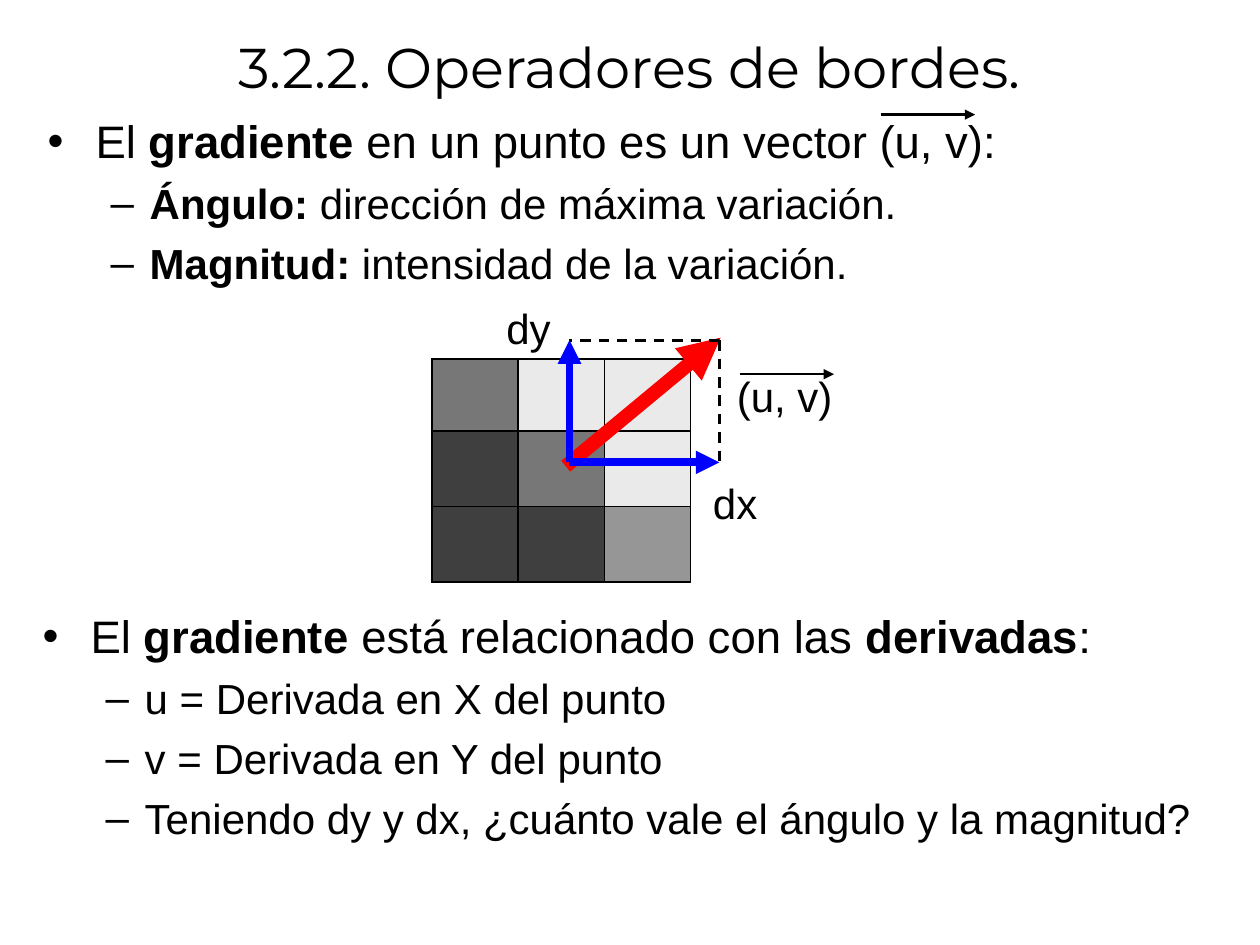
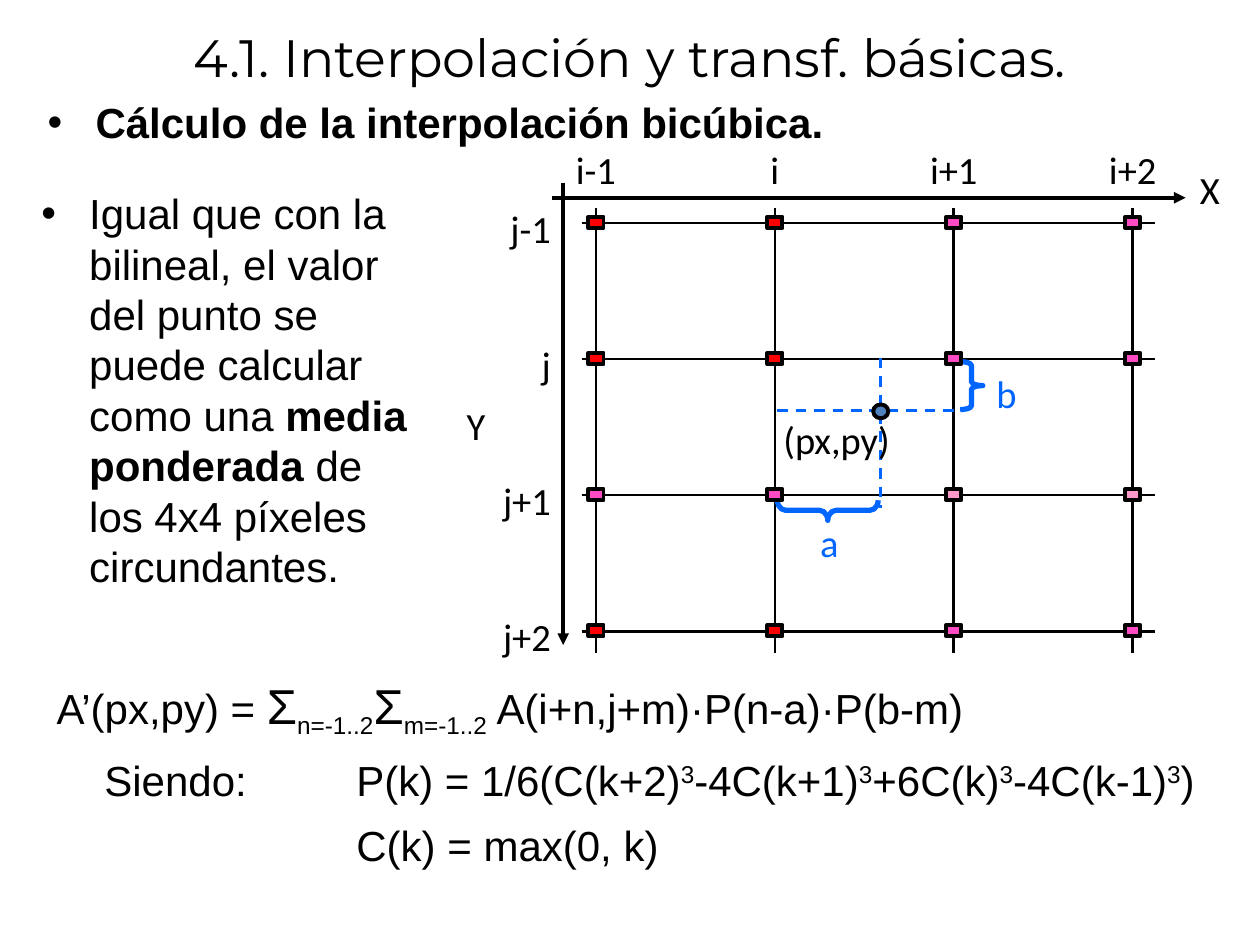
from lxml import etree
from pptx import Presentation
from pptx import util as u
from pptx.dml.color import RGBColor
from pptx.enum import dml, shapes, text
from pptx.oxml.ns import qn

BLACK = RGBColor(0x00, 0x00, 0x00)
RED = RGBColor(0xFF, 0x00, 0x00)
BLUE = RGBColor(0x00, 0x00, 0xFF)
SKY = RGBColor(0x00, 0x66, 0xFF)
STEEL = RGBColor(0x4F, 0x81, 0xBD)
PINK = RGBColor(0xFF, 0x4B, 0xC3)
ROSE = RGBColor(0xFF, 0x99, 0xCC)
DARK = RGBColor(0x3F, 0x3F, 0x3F)
GRAY = RGBColor(0x77, 0x77, 0x77)
SILVER = RGBColor(0x96, 0x96, 0x96)
PALE = RGBColor(0xEA, 0xEA, 0xEA)

LEFT, CENTER, RIGHT = (text.PP_ALIGN.LEFT, text.PP_ALIGN.CENTER,
                       text.PP_ALIGN.RIGHT)
BULLET = dict(margin=0.38, indent=-0.38, bullet="•")
DASH = dict(margin=0.81, indent=-0.31, bullet="–", before=5.5)
BOLD = dict(bold=True)
SUB = dict(baseline=-25)
SUP = dict(baseline=30)


def box(*lengths):
    return [u.Inches(n) for n in lengths]


def add_run(p, content, size=24, font="Arial", color=BLACK, bold=False,
            baseline=0):
    r = p.add_run()
    r.text = content
    r.font.size, r.font.name, r.font.bold = u.Pt(size), font, bold
    r.font.color.rgb = color
    if baseline:
        r._r.get_or_add_rPr().set("baseline", str(baseline * 1000))


def fill_paragraph(p, runs, align=LEFT, margin=0, indent=0, bullet=None,
                   before=0, **fmt):
    p.alignment, p.space_before = align, u.Pt(before)
    pPr = p._p.get_or_add_pPr()
    pPr.set("marL", str(u.Inches(margin)))
    pPr.set("indent", str(u.Inches(indent)))
    if bullet:
        etree.SubElement(pPr, qn("a:buFont")).set("typeface", "Arial")
        etree.SubElement(pPr, qn("a:buChar")).set("char", bullet)
    for run in [runs] if isinstance(runs, str) else runs:
        content, extra = (run, {}) if isinstance(run, str) else run
        add_run(p, content, **{**fmt, **extra})


class Deck:
    def __init__(self):
        self.prs = Presentation()
        self.prs.slide_width, self.prs.slide_height = box(10, 7.5)

    def slide(self, title, height, size):
        self.s = self.prs.slides.add_slide(self.prs.slide_layouts[5])
        sp = self.s.shapes.title
        sp.left, sp.top, sp.width, sp.height = box(0.2, 0, 9.6, height)
        tf = sp.text_frame
        tf.vertical_anchor = text.MSO_ANCHOR.MIDDLE
        fill_paragraph(tf.paragraphs[0], title, CENTER, size=size,
                       font="Montserrat")

    def body(self, at, *paragraphs, wrap=True):
        tf = self.s.shapes.add_textbox(*box(*at)).text_frame
        tf.word_wrap = wrap
        for i, (runs, fmt) in enumerate(paragraphs):
            p = tf.add_paragraph() if i else tf.paragraphs[0]
            fill_paragraph(p, runs, **fmt)

    def label(self, content, *at, wrap=True, **fmt):
        self.body(at, (content, fmt), wrap=wrap)

    def axis_label(self, content, *at, align=RIGHT, color=BLACK):
        self.label(content, *at, align=align, color=color, size=22,
                   font="Calibri")

    def line(self, *ends, color=BLACK, width=1.5, dashed=False, arrow=False):
        c = self.s.shapes.add_connector(shapes.MSO_CONNECTOR.STRAIGHT,
                                        *box(*ends))
        c.line.color.rgb, c.line.width = color, u.Pt(width)
        if dashed:
            c.line.dash_style = dml.MSO_LINE.DASH
        if arrow:
            ln = c.line._get_or_add_ln()
            etree.SubElement(ln, qn("a:tailEnd")).set("type", "triangle")
        etree.SubElement(c._element.spPr, qn("a:effectLst"))

    def shape(self, kind, at, fill=None, line=BLACK, width=2.25):
        sp = self.s.shapes.add_shape(kind, *box(*at))
        sp.shadow.inherit = False
        if fill is None:
            sp.fill.background()
        else:
            sp.fill.solid()
            sp.fill.fore_color.rgb = fill
        sp.line.color.rgb, sp.line.width = line, u.Pt(width)
        return sp

    def brace(self, at, rotation, curve):
        sp = self.shape(shapes.MSO_SHAPE.LEFT_BRACE, at, line=SKY, width=3)
        sp.rotation = rotation
        sp.adjustments[0] = curve

    def pixels(self, at, row_heights, colors):
        table = self.s.shapes.add_table(len(colors), len(colors[0]),
                                        *box(*at)).table
        table.first_row = table.horz_banding = False
        for row, height, row_colors in zip(table.rows, row_heights, colors):
            row.height = u.Inches(height)
            for cell, color in zip(row.cells, row_colors):
                tcPr = cell._tc.get_or_add_tcPr()
                for side in ("lnL", "lnR", "lnT", "lnB"):
                    ln = etree.SubElement(tcPr, qn("a:" + side), w="12700")
                    solid = etree.SubElement(ln, qn("a:solidFill"))
                    etree.SubElement(solid, qn("a:srgbClr"), val=str(BLACK))
                cell.fill.solid()
                cell.fill.fore_color.rgb = color


def gradient_slide(d):
    d.slide("3.2.2. Operadores de bordes.", 1.05, 32)
    head = {**BULLET, "size": 26}
    d.body((0.28, 0.85, 9.41, 1.56),
           (["El ", ("gradiente", BOLD),
             " en un punto es un vector (u, v):"], head),
           ([("Ángulo:", BOLD), " dirección de máxima variación."], DASH),
           ([("Magnitud:", BOLD), " intensidad de la variación."], DASH))
    d.pixels((3.43, 2.85, 2.05, 1.77), (0.57, 0.6, 0.6),
             [(GRAY, PALE, PALE), (DARK, GRAY, PALE), (DARK, DARK, SILVER)])
    d.line(4.49, 3.7, 5.72, 2.68, color=RED, width=8, arrow=True)
    d.label("(u, v)", 5.75, 2.89, 0.96, 0.5, wrap=False)
    for x, y in ((6.99, 0.91), (5.87, 2.97)):
        d.line(x, y, x + 0.75, y, arrow=True)
    d.body((0.24, 4.78, 9.41, 2.13),
           (["El ", ("gradiente", BOLD), " está relacionado con las ",
             ("derivadas", BOLD), ":"], head),
           ("u = Derivada en X del punto", DASH),
           ("v = Derivada en Y del punto", DASH),
           ("Teniendo dy y dx, ¿cuánto vale el ángulo y la magnitud?", DASH))
    x, y, x_end, y_end = 4.52, 3.67, 5.71, 2.7
    d.line(x, y, x_end, y, color=BLUE, width=4.5, arrow=True)
    d.line(x_end, y_end, x_end, y, dashed=True)
    d.line(x_end, y_end, x, y_end, dashed=True)
    d.line(x, y, x, y_end, color=BLUE, width=4.5, arrow=True)
    d.label("dx", 5.56, 3.74, 0.55, 0.5, wrap=False)
    d.label("dy", 3.92, 2.35, 0.55, 0.5, wrap=False)


def bicubic_slide(d):
    d.slide("4.1. Interpolación y transf. básicas.", 0.89, 30)
    d.label("Cálculo de la interpolación bicúbica.", 0.28, 0.72, 9.48, 0.58,
            **BULLET, **BOLD)

    xs = [4.73 + 1.42 * i for i in range(4)]
    ys = [1.77 + 1.08 * j for j in range(4)]
    for x in xs:
        d.line(x, 1.65, x, 5.18)
    for y in ys:
        d.line(4.62, y, 9.17, y)
    px, py = 6.99, 3.26
    d.line(6.17, py, 7.64, py, color=SKY, dashed=True)
    d.line(px, 2.84, px, 4.03, color=SKY, dashed=True)
    d.line(4.38, 1.57, 9.41, 1.57, width=2.25, arrow=True)
    d.line(4.47, 1.45, 4.47, 5.12, width=2.25, arrow=True)

    d.brace((6.49, 3.65, 0.16, 0.8), 270, 0.41)
    d.brace((7.62, 2.87, 0.18, 0.38), 180, 0.17)
    weights = [(RED, RED, PINK, PINK), (RED, RED, PINK, PINK),
               (PINK, PINK, ROSE, ROSE), (RED, RED, PINK, PINK)]
    for y, row in zip(ys, weights):
        for x, color in zip(xs, row):
            d.shape(shapes.MSO_SHAPE.RECTANGLE,
                    (x - 0.06, y - 0.05, 0.12, 0.09), color)
    d.shape(shapes.MSO_SHAPE.OVAL, (px - 0.06, py - 0.05, 0.12, 0.11), STEEL)

    for x, y, step in zip(xs, ys, ("-1", "", "+1", "+2")):
        d.axis_label("i" + step, x - 0.42, 1.11, 0.84, 0.47, align=CENTER)
        d.axis_label("j" + step, 3.42, y - 0.19, 1.05, 0.47)
    d.axis_label("X", 9.38, 1.27, 0.4, 0.47)
    d.axis_label("Y", 3.49, 3.14, 0.46, 0.47)
    d.axis_label("a", 6.41, 4.07, 0.31, 0.47, color=SKY)
    d.axis_label("b", 7.81, 2.89, 0.31, 0.47, color=SKY)
    d.axis_label("(px,py)", 6, 3.25, 1.16, 0.47)

    d.label(["Igual que con la bilineal, el valor del punto se puede "
             "calcular como una ", ("media ponderada", BOLD),
             " de los 4x4 píxeles circundantes."],
            0.23, 1.44, 3.24, 3.52, **BULLET)
    sigma, cube = ("Σ", dict(size=28)), ("3", SUP)
    d.body((0.35, 5.31, 9.31, 1.71),
           (["A’(px,py) = ", sigma, ("n=-1..2", SUB), sigma,
             ("m=-1..2", SUB), " A(i+n,j+m)·P(n-a)·P(b-m)"], {}),
           (["Siendo:\tP(k) = 1/6(C(k+2)", cube, "-4C(k+1)", cube,
             "+6C(k)", cube, "-4C(k-1)", cube, ")"],
            dict(margin=2.38, indent=-2, before=8.3)),
           ("C(k) = max(0, k)", dict(margin=2.38, before=8.3)))


def main():
    d = Deck()
    gradient_slide(d)
    bicubic_slide(d)
    d.prs.save("out.pptx")


if __name__ == "__main__":
    main()
